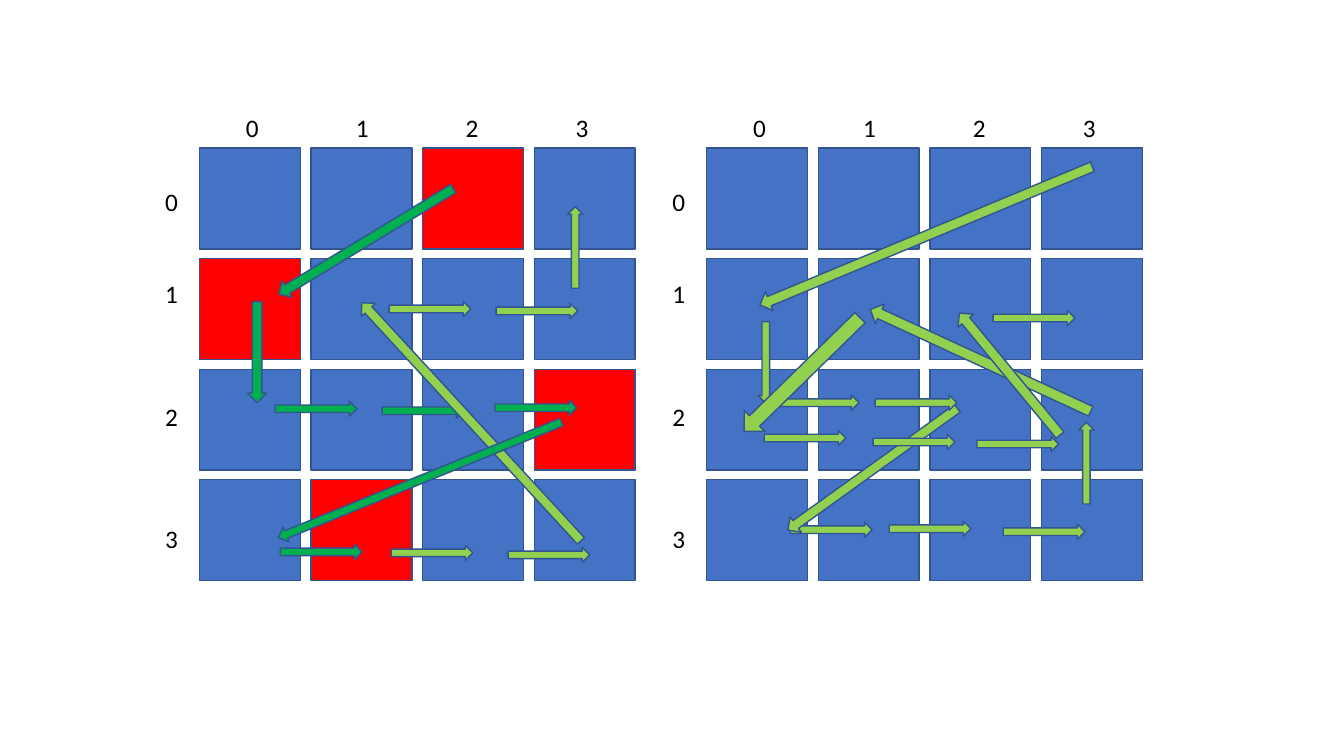
from lxml.etree import SubElement
from pptx import Presentation
from pptx.dml.color import RGBColor
from pptx.enum.shapes import MSO_SHAPE
from pptx.oxml.ns import qn
from pptx.util import Pt

PX = 9144  # EMU per px, 100 px to the inch
BLUE = RGBColor(0x44, 0x72, 0xC4)
RED = RGBColor(0xFF, 0x00, 0x00)
OUTLINE = RGBColor(0x32, 0x54, 0x91)
DARK = RGBColor(0x00, 0xB0, 0x50)
LIGHT = RGBColor(0x92, 0xD0, 0x50)
BLACK = RGBColor(0x00, 0x00, 0x00)

SIZE = 4
CELL = 100
LABEL_PITCH = 109

# Arrows: colour, left, top, then length, thickness and angle where not default.
LEFT_ARROWS = [
    (DARK, 7, 193, 100, 19, 90),
    (DARK, 80, 393),
    (DARK, 64, 83, 202, 19, 148.8),
    (DARK, 75, 251),
    (DARK, 181, 253),
    (DARK, 293, 250),
    (LIGHT, 188, 152),
    (LIGHT, 294, 154),
    (LIGHT, 109, 262, 321, 19, 227.4),
    (LIGHT, 190, 394),
    (LIGHT, 332, 91, 81, 15, 270),
    (DARK, 67, 321, 303, 16, 157.8),
    (LIGHT, 306, 396),
]
RIGHT_ARROWS = [
    (LIGHT, 39, 77, 357, 20, 157.4),
    (LIGHT, 18, 205, 81, 15, 90),
    (LIGHT, 83, 371),
    (LIGHT, 181, 370),
    (LIGHT, 61, 309, 207, 19, 144.3),
    (LIGHT, 70, 245),
    (LIGHT, 167, 245),
    (LIGHT, 151, 200, 241, 21, 204.8),
    (LIGHT, 294, 373),
    (LIGHT, 336, 305, 81, 15, 270),
    (LIGHT, 165, 284),
    (LIGHT, 57, 280),
    (LIGHT, 14, 210, 161, 29, 135.6),
    (LIGHT, 268, 286),
    (LIGHT, 222, 214, 157, 20, 230.5),
    (LIGHT, 284, 161),
]
RED_CELLS = {(0, 2), (1, 0), (2, 3), (3, 1)}


def px(n):
    return round(n * PX)


def add_shape(s, kind, x, y, w, h, fill, angle=0):
    sp = s.shapes.add_shape(kind, px(x), px(y), px(w), px(h))
    sp.shadow.inherit = False
    sp.fill.solid()
    sp.fill.fore_color.rgb = fill
    sp.line.color.rgb = OUTLINE
    sp.line.width = Pt(1)
    sp.rotation = angle


def add_text(s, paragraphs, x, y, w, h, size=18, font="Calibri", color=BLACK,
             gaps=(0,), inset=10, tabs=()):
    """Write paragraphs, each with its gap above in points."""
    tf = s.shapes.add_textbox(px(x), px(y), px(w), px(h)).text_frame
    tf.word_wrap = True
    tf.margin_left = px(inset)
    for i, (text, gap) in enumerate(zip(paragraphs, gaps)):
        p = tf.add_paragraph() if i else tf.paragraphs[0]
        p.space_before = Pt(gap)
        if tabs:
            tab_list = SubElement(p._p.get_or_add_pPr(), qn("a:tabLst"))
            for tab in tabs:
                SubElement(tab_list, qn("a:tab"), pos=str(px(tab)), algn="l")
        r = p.add_run()
        r.text = text
        r.font.size = Pt(size)
        r.font.name = font
        r.font.color.rgb = color


def draw_labels(s, x, y):
    numbers = [str(n) for n in range(SIZE)]
    add_text(s, ["\t".join(numbers)], x + 25, y - 40, 390, 40, inset=21,
             tabs=[LABEL_PITCH * n for n in range(1, SIZE)])
    add_text(s, numbers, x - 44, y + 33, 33, 404, gaps=(0, 44, 66, 66))


def draw_grid(s, x, y, w, h, red_cells):
    step_x = (w - CELL) / (SIZE - 1)
    step_y = (h - CELL) / (SIZE - 1)
    for row in range(SIZE):
        for col in range(SIZE):
            fill = RED if (row, col) in red_cells else BLUE
            add_shape(s, MSO_SHAPE.RECTANGLE, x + col * step_x,
                      y + row * step_y, CELL, CELL, fill)


def draw_arrow(s, x, y, color, left, top, length=81, thickness=15, angle=0):
    add_shape(s, MSO_SHAPE.RIGHT_ARROW, x + left, y + top,
              length, thickness, color, angle)


def draw_panel(s, x, y, w, h, arrows, red_cells=()):
    draw_grid(s, x, y, w, h, red_cells)
    draw_labels(s, x, y)
    for arrow in arrows:
        draw_arrow(s, x, y, *arrow)


def main():
    prs = Presentation()
    prs.slide_width, prs.slide_height = px(1333), px(750)
    s = prs.slides.add_slide(prs.slide_layouts[6])
    draw_panel(s, 198, 147, 432, 429, LEFT_ARROWS, RED_CELLS)
    draw_panel(s, 701, 147, 432, 429, RIGHT_ARROWS)
    prs.save("out.pptx")


if __name__ == "__main__":
    main()
